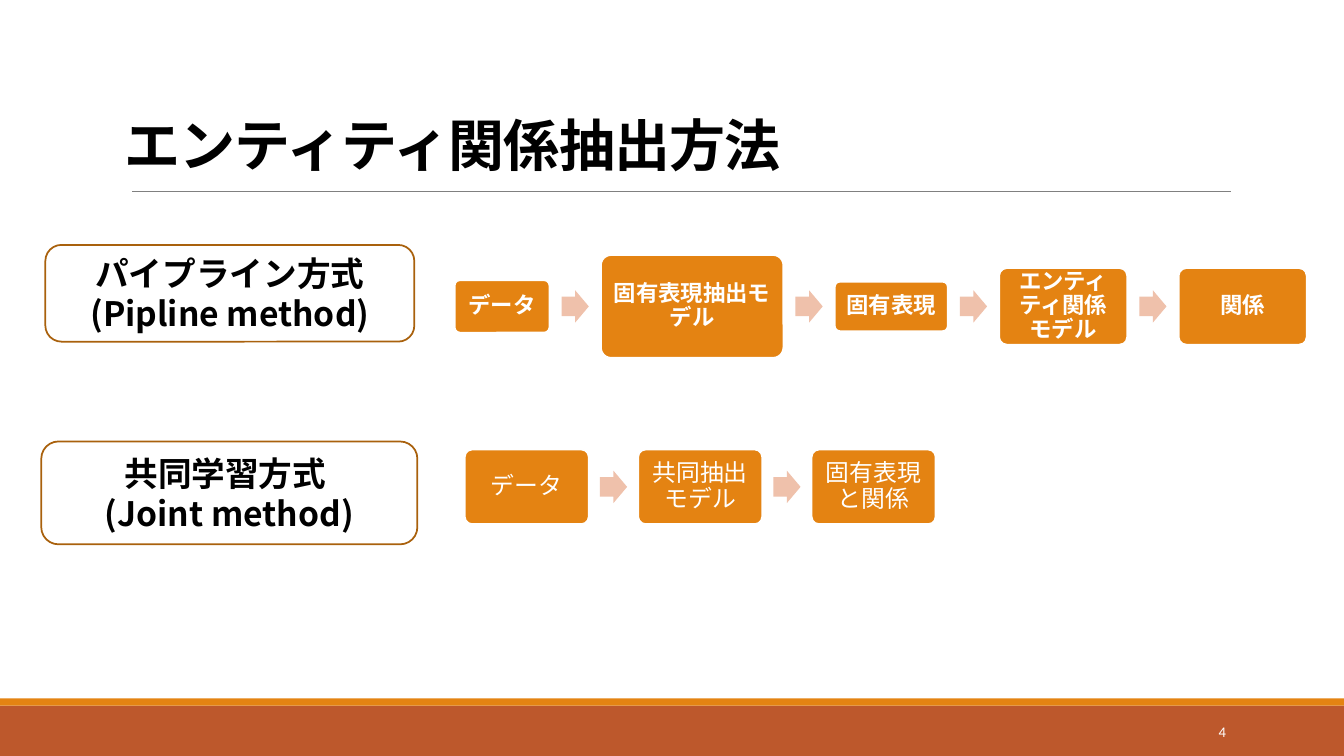
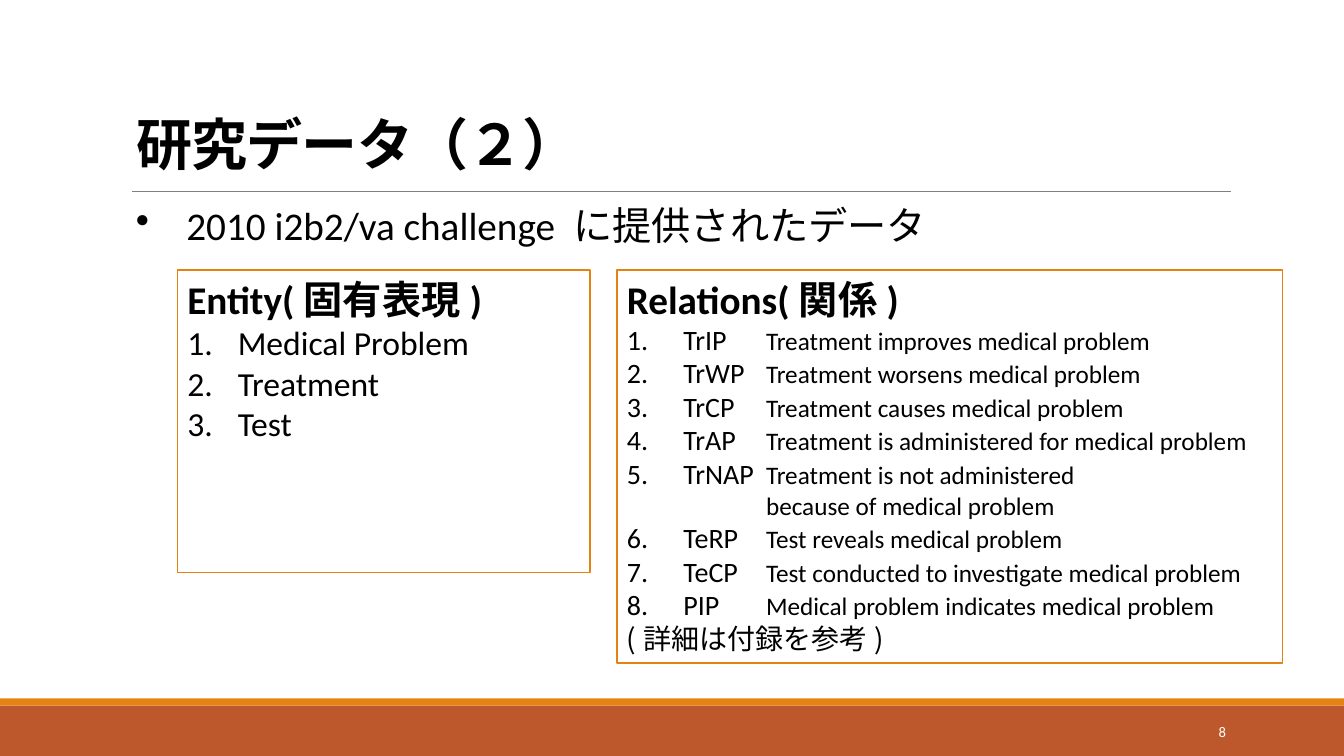
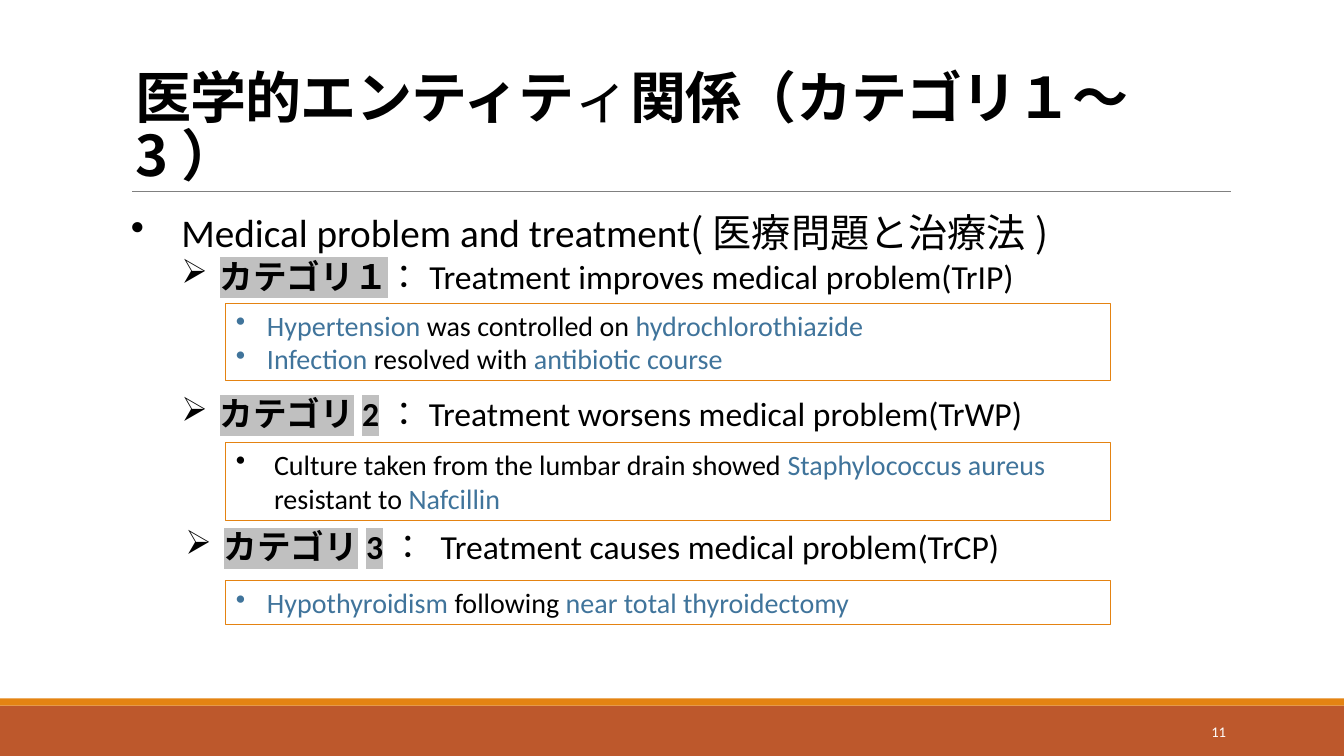
from pptx import Presentation
from pptx.dml.color import RGBColor
from pptx.enum import lang, shapes, text
from pptx.oxml import ns, xmlchemy
from pptx.util import Inches, Pt
from lxml import etree


class Theme:
    band, gold, rule, edge = "BD582C", "E48312", "808080", "A9610D"
    arrow, white, black, blue, mark = "EFC1AB", "FFFFFF", "000000", "40749B", "C0C0C0"
    body, cjk = "Calibri", "Noto Sans CJK JP"
    styles = {
        "title": dict(size=40, bold=True, spc=-50),
        "thin": dict(size=40, spc=-50),
        "titlej": dict(size=40, bold=True, spc=-50, face=cjk),
        "page": dict(size=10.5, color=white),
        "pill": dict(size=24, bold=True, face=cjk),
        "node": dict(size=16, bold=True, color=white, face=cjk),
        "plain": dict(size=17, color=white),
        "lead": dict(size=28),
        "leadj": dict(size=28, face=cjk),
        "head": dict(size=28, bold=True),
        "headj": dict(size=28, bold=True, face=cjk),
        "item": dict(size=24),
        "tag": dict(size=24, bold=True, mark=mark),
        "code": dict(size=20),
        "note": dict(size=20, face=cjk),
        "desc": dict(size=18),
        "term": dict(size=20, color=blue),
    }


T = Theme
SHAPE = shapes.MSO_SHAPE
ALIGN = text.PP_ALIGN
ANCHOR = text.MSO_ANCHOR

PAGES = [
    ("4", (1.13, 0.72, 10.85, 1.1), [("エンティティ関係抽出方法", "title")]),
    ("8", (1.25, 0.41, 9.75, 1.4), [("研究データ（２）", "titlej")]),
    ("11", (1.24, 0.84, 10.62, 1.07), [
        ("医学的エンティテ", "title"), ("ィ", "thin"),
        ("関係（カテゴリ１〜3）", "titlej")]),
]

PILLS = [
    ((0.45, 2.43, 3.66, 0.96), ["パイプライン方式", "(Pipline method)"]),
    ((0.41, 4.38, 3.73, 1.02), ["共同学習方式(Joint\u00a0method)"]),
]
FLOWS = [
    dict(left=4.51, mid=3.04, gap=0.51, style="node", nodes=[
        ("データ", 0.94, 0.52), ("固有表現抽出モデル", 1.81, 1.02),
        ("固有表現", 1.12, 0.49), ("エンティティ関係モデル", 1.27, 0.76),
        ("関係", 1.27, 0.76)]),
    dict(left=4.61, mid=4.83, gap=0.49, style="plain", nodes=[
        (name, 1.23, 0.74) for name in ("データ", "共同抽出モデル", "固有表現と関係")]),
]

ENTITIES = ["Medical Problem", "Treatment", "Test"]
RELATIONS = [
    ("TrIP", "Treatment improves medical problem"),
    ("TrWP", "Treatment worsens medical problem"),
    ("TrCP", "Treatment causes medical problem"),
    ("TrAP", "Treatment is administered for medical problem"),
    ("TrNAP", "Treatment is not administered", "because of medical problem"),
    ("TeRP", "Test reveals medical problem"),
    ("TeCP", "Test conducted to investigate medical problem"),
    ("PIP", "Medical problem indicates medical problem"),
]
STOPS = (0.82, 1.38)

TOPIC = [("Medical problem and treatment", "lead"), ("(医療問題と治療法)", "leadj")]
GROUPS = [
    dict(at=(1.2, 2.02, 11.18, 1.28), tag="カテゴリ１",
         name="：Treatment improves medical problem(TrIP)",
         box=(3.01, 0.77), ind=0.31, cases=[
             [("Hypertension", "term"), (" was controlled on ", "code"),
              ("hydrochlorothiazide", "term")],
             [("Infection", "term"), (" resolved with ", "code"),
              ("antibiotic course", "term")]]),
    dict(at=(1.2, 3.85, 11.18, 1.21), tag="カテゴリ2",
         name="：Treatment worsens medical problem(TrWP)",
         box=(4.39, 0.77), ind=0.38, cases=[
             [("Culture taken from the lumbar drain showed ", "code"),
              ("Staphylococcus aureus ", "term"), ("resistant to ", "code"),
              ("Nafcillin", "term")]]),
    dict(at=(1.24, 5.17, 11.18, 0.81), tag="カテゴリ3",
         name="： Treatment causes medical problem(TrCP)",
         box=(5.76, 0.44), ind=0.31, cases=[
             [("Hypothyroidism ", "term"), ("following", "code"),
              (" near total thyroidectomy", "term")]]),
]


def rgb(code):
    return RGBColor.from_string(code)


def put(thing, **values):
    for key, value in values.items():
        setattr(thing, key, value)


def sub(parent, tag, **attrs):
    return etree.SubElement(parent, ns.qn(tag), attrs)


def place(at):
    return [Inches(n) for n in at]


def para(*runs, **form):
    return runs, form


def add_run(line, words, style):
    look = T.styles[style]
    run = line.add_run()
    run.text = words
    put(run.font, size=Pt(look["size"]), bold=look.get("bold", False),
        name=look.get("face", T.body), language_id=lang.MSO_LANGUAGE_ID.JAPANESE)
    run.font.color.rgb = rgb(look.get("color", T.black))
    props = run.font._element
    latin = props.find(ns.qn("a:latin"))
    east = sub(props, "a:ea", typeface=T.body)
    latin.addnext(east)
    if "spc" in look:
        props.set("spc", str(look["spc"]))
    if "mark" in look:
        mark = sub(props, "a:highlight")
        sub(mark, "a:srgbClr", val=look["mark"])
        latin.addprevious(mark)


def write(shape, paras, anchor=ANCHOR.TOP, align=ALIGN.LEFT, space=None, inset=None):
    frame = shape.text_frame
    put(frame, word_wrap=True, auto_size=text.MSO_AUTO_SIZE.NONE, vertical_anchor=anchor)
    if inset:
        put(frame, margin_left=Inches(inset), margin_right=Inches(inset))
    for i, (runs, form) in enumerate(paras):
        line = frame.add_paragraph() if i else frame.paragraphs[0]
        put(line, alignment=align, line_spacing=space, space_before=Pt(0))
        props = line._p.get_or_add_pPr()
        left, hang = form.get("ind", 0), form.get("hang", 0)
        props.set("marL", str(Inches(left)))
        props.set("indent", str(-Inches(hang)))
        if "char" in form:
            sub(props, "a:buChar", char=form["char"])
        elif "num" in form:
            sub(props, "a:buAutoNum", type="arabicPeriod", startAt=str(form["num"]))
        else:
            sub(props, "a:buNone")
        if "tabs" in form:
            tabs = sub(props, "a:tabLst")
            for stop in form["tabs"]:
                sub(tabs, "a:tab", pos=str(Inches(stop)), algn="l")
        for words, style in runs:
            add_run(line, words, style)


def add_text(slide, at, paras, **form):
    box = slide.shapes.add_textbox(*place(at))
    write(box, paras, **form)


def add_box(slide, kind, at, fill=None, edge=None, width=1.25):
    box = slide.shapes.add_shape(kind, *place(at))
    box.shadow.inherit = False
    if fill:
        box.fill.solid()
        box.fill.fore_color.rgb = rgb(fill)
    else:
        box.fill.background()
    if edge:
        box.line.color.rgb = rgb(edge)
        box.line.width = Pt(width)
    else:
        box.line.fill.background()
    return box


def dress(layout, slide):
    parts = [add_box(slide, SHAPE.RECTANGLE, (0, top, 13.33, high), fill)
             for top, high, fill in ((7, 0.5, T.band), (6.93, 0.07, T.gold))]
    rule = slide.shapes.add_connector(
        shapes.MSO_CONNECTOR.STRAIGHT, *place((1.31, 1.9, 12.21, 1.9)))
    rule.line.color.rgb = rgb(T.rule)
    rule.line.width = Pt(0.5)
    sub(rule._element.spPr, "a:effectLst")
    for part in parts + [rule]:
        layout.shapes.element.append(part._element)


def start(slide, page, at, runs):
    title = slide.shapes.title
    put(title, **dict(zip(("left", "top", "width", "height"), place(at))))
    write(title, [para(*runs)], anchor=ANCHOR.BOTTOM, space=0.85)
    add_text(slide, (10.83, 7.06, 1.43, 0.4), [para((page, "page"))],
             anchor=ANCHOR.MIDDLE, align=ALIGN.RIGHT)


def add_flow(slide, left, mid, gap, style, nodes):
    wide, high = 0.27, 0.32
    for i, (name, width, height) in enumerate(nodes):
        if i:
            spot = (left - (gap + wide) / 2, mid - high / 2, wide, high)
            arrow = add_box(slide, SHAPE.RIGHT_ARROW, spot, T.arrow)
            arrow.adjustments[0] = 0.6
        node = add_box(slide, SHAPE.ROUNDED_RECTANGLE,
                       (left, mid - height / 2, width, height), T.gold, T.white)
        node.adjustments[0] = 0.1
        write(node, [para((name, style))], anchor=ANCHOR.MIDDLE,
              align=ALIGN.CENTER, space=0.9, inset=0.09)
        left += width + gap


def methods(slide):
    for at, lines in PILLS:
        pill = add_box(slide, SHAPE.ROUNDED_RECTANGLE, at, edge=T.edge)
        write(pill, [para((line, "pill")) for line in lines],
              anchor=ANCHOR.MIDDLE, align=ALIGN.CENTER)
    for flow in FLOWS:
        add_flow(slide, **flow)


def heading(name, local):
    return para((name + "(", "head"), (local, "headj"), (")", "head"))


def dataset(slide):
    rows = [heading("Relations", "関係")]
    for i, (code, desc, *more) in enumerate(RELATIONS, 1):
        rows.append(para((code + "\t", "code"), (desc, "desc"),
                         ind=0.56, hang=0.56, num=i, tabs=STOPS))
        rows += [para((rest, "desc"), ind=STOPS[-1]) for rest in more]
    rows.append(para(("(詳細は付録を参考)", "note")))
    write(add_box(slide, SHAPE.RECTANGLE, (6.12, 2.68, 6.6, 3.9), edge=T.gold), rows)
    add_text(slide, (1.25, 1.95, 11.12, 0.91), [
        para(("2010 i2b2/va challenge ", "lead"), ("に提供されたデータ", "leadj"),
             ind=0.5, hang=0.5, char="•")])
    kinds = [para((name, "item"), ind=0.5, hang=0.5, num=i)
             for i, name in enumerate(ENTITIES, 1)]
    write(add_box(slide, SHAPE.RECTANGLE, (1.76, 2.68, 4.09, 3), T.white, T.gold),
          [heading("Entity", "固有表現")] + kinds)


def groups(slide):
    lead = [para(*TOPIC, ind=0.5, hang=0.5, char="•")]
    for group in GROUPS:
        label = para((group["tag"], "tag"), (group["name"], "item"),
                     ind=0.88, hang=0.38, char="➢")
        add_text(slide, group["at"], lead + [label])
        lead = []
        top, high = group["box"]
        box = add_box(slide, SHAPE.RECTANGLE, (2.24, top, 8.77, high),
                      edge=T.gold, width=0.75)
        ind = group["ind"]
        write(box, [para(*case, ind=ind, hang=ind, char="•") for case in group["cases"]])


def main():
    deck = Presentation()
    put(deck, slide_width=Inches(13.33), slide_height=Inches(7.5))
    layout = deck.slide_layouts[5]
    for i, (page, draw) in enumerate(zip(PAGES, (methods, dataset, groups))):
        slide = deck.slides.add_slide(layout)
        if not i:
            dress(layout, slide)
        start(slide, *page)
        draw(slide)
    deck.save("out.pptx")


if __name__ == "__main__":
    main()
